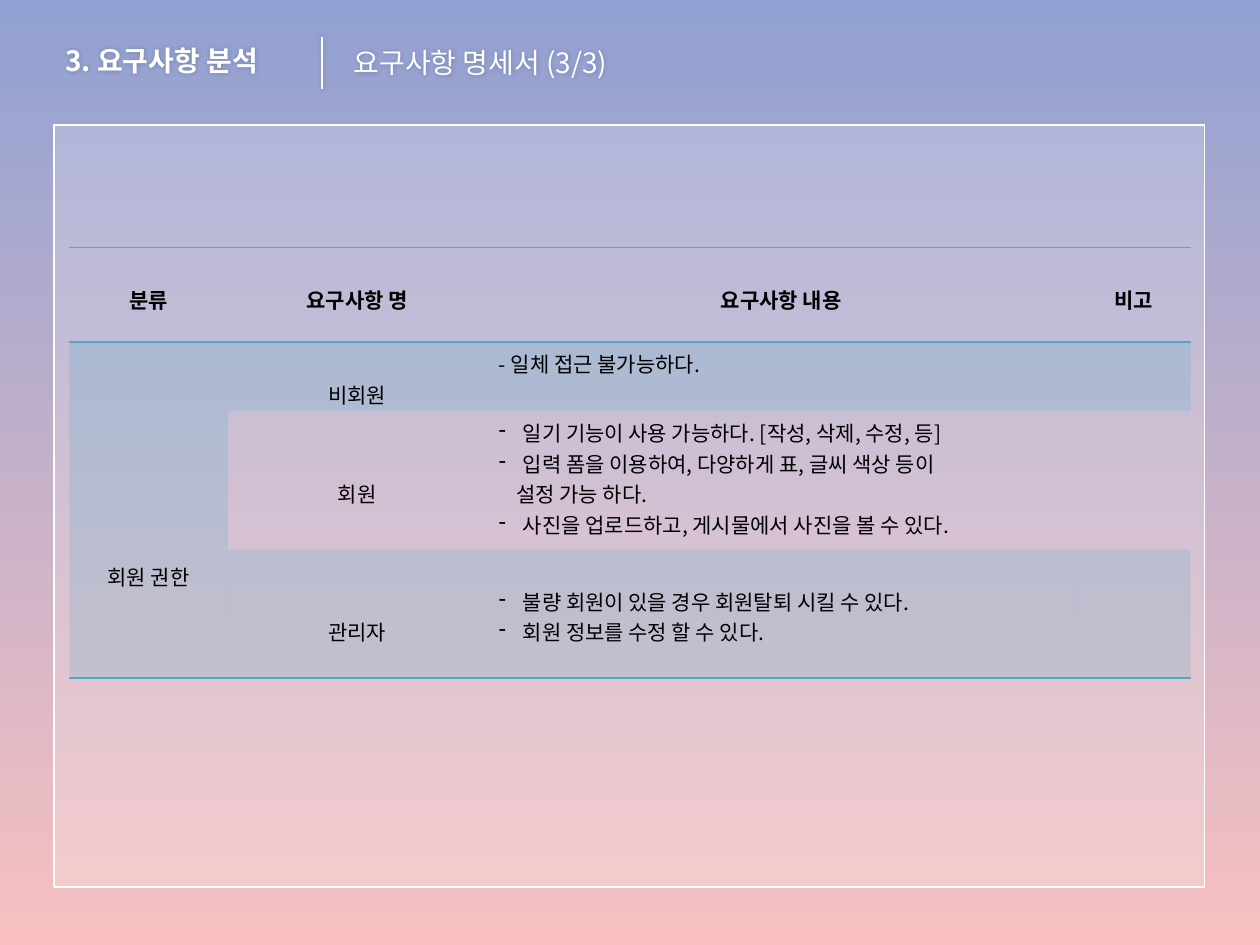
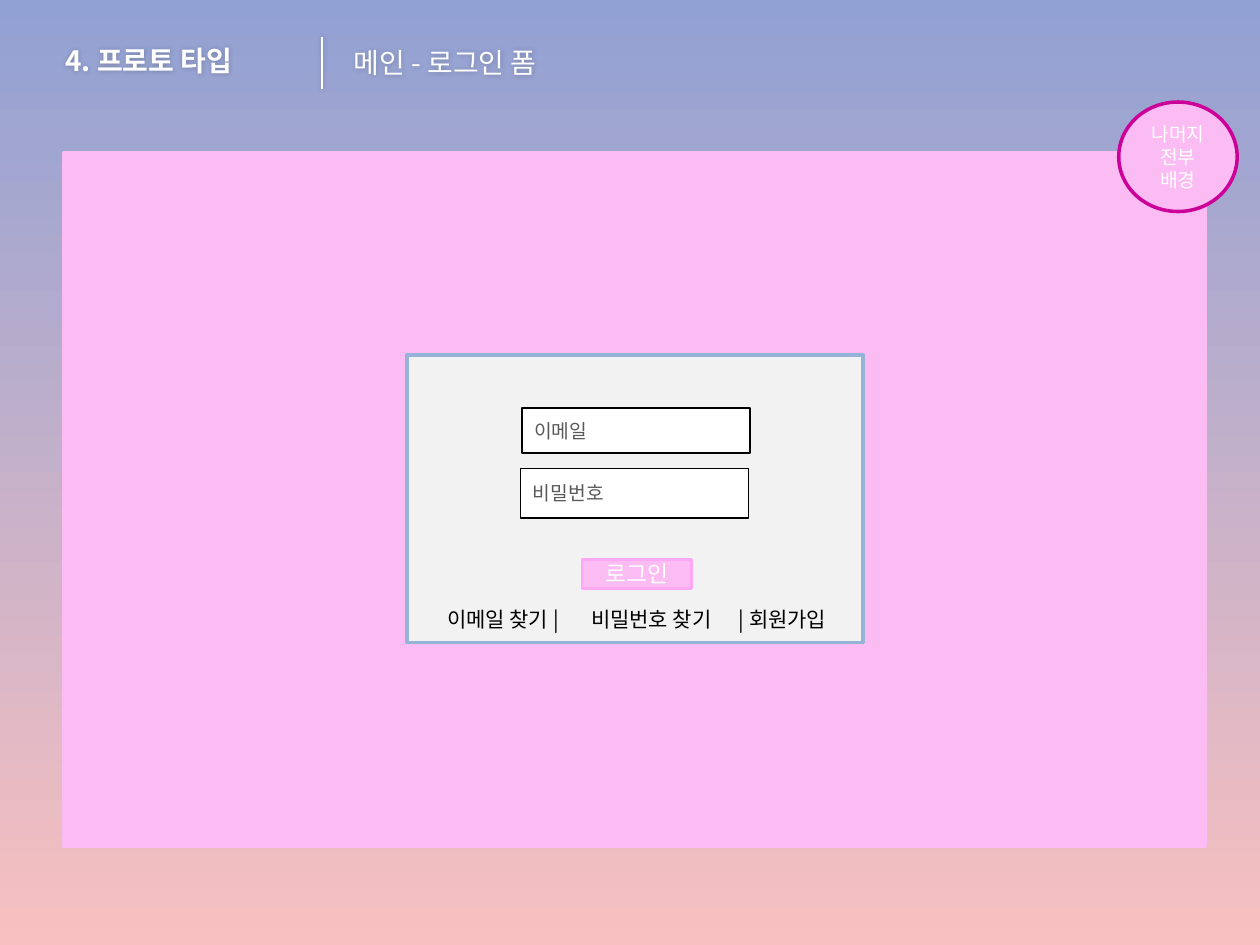
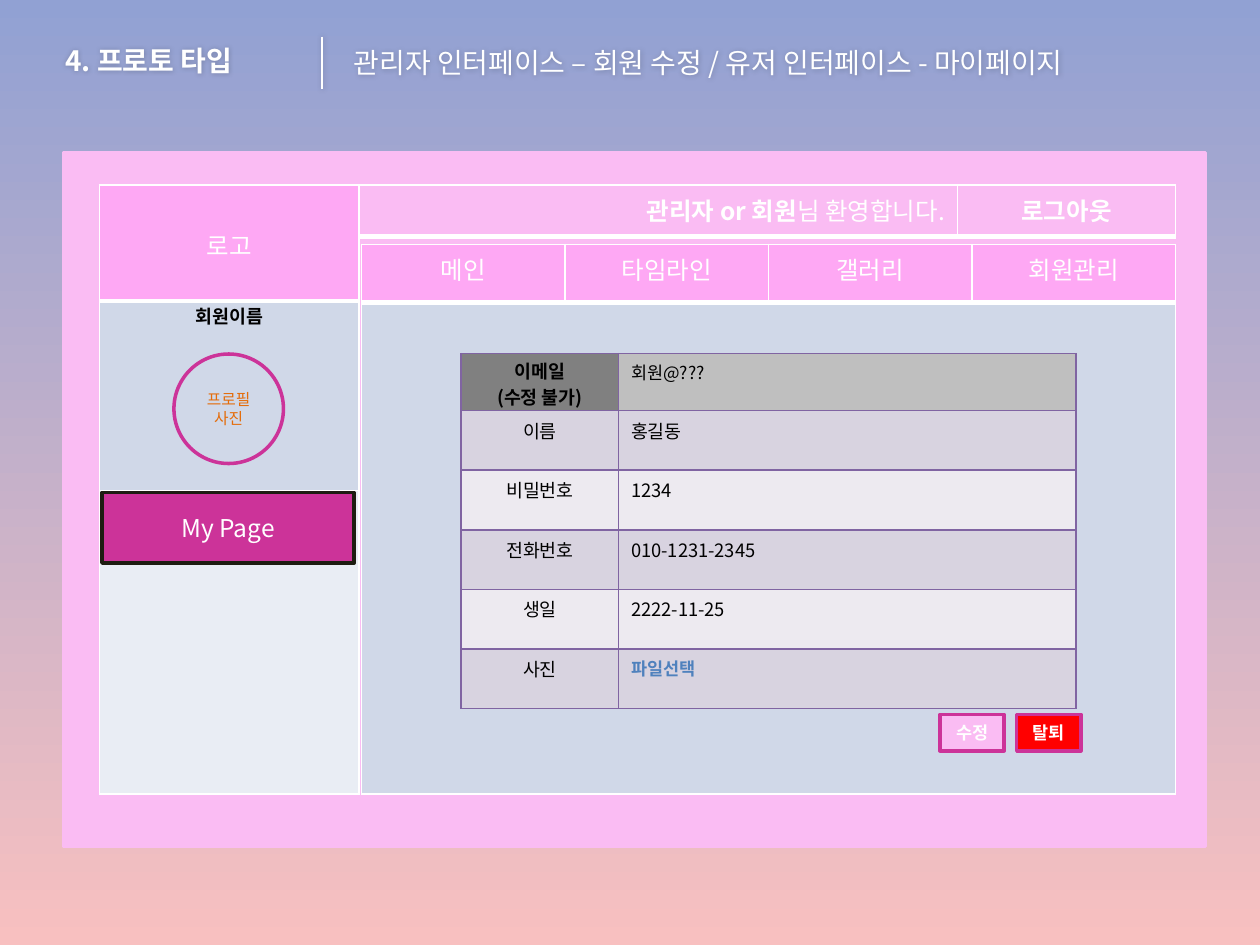
from dataclasses import dataclass

from lxml.etree import SubElement
from pptx import Presentation
from pptx.dml.color import RGBColor
from pptx.enum.shapes import MSO_CONNECTOR as Connector, MSO_SHAPE as Shape
from pptx.enum.text import MSO_ANCHOR as Anchor, MSO_AUTO_SIZE as AutoSize, PP_ALIGN as Align
from pptx.oxml import parse_xml
from pptx.oxml.ns import nsdecls, qn
from pptx.util import Pt


@dataclass(frozen=True)
class Theme:
    font: str = "Noto Sans CJK KR"
    name_font: str = "Arial"
    title_size: float = 16
    menu_size: float = 14
    button_size: float = 13
    body_size: float = 12
    field_size: float = 11
    label_size: float = 10.5
    value_size: float = 10
    photo_size: float = 9
    sky: str = "91A1D3"
    blush: str = "F8C0C0"
    white: str = "FFFFFF"
    black: str = "000000"
    teal: str = "4BACC6"
    pink: str = "FABCF3"
    hot_pink: str = "FEA8F4"
    magenta: str = "CC3399"
    badge_line: str = "CC0099"
    form_fill: str = "F2F2F2"
    form_line: str = "95B3D7"
    hint: str = "595959"
    side: str = "D0D8E8"
    side_light: str = "E9EDF4"
    selected_line: str = "1E1C11"
    photo: str = "E46C0A"
    grid: str = "8064A2"
    locked_label: str = "808080"
    locked_value: str = "BFBFBF"
    band: str = "D8D3E0"
    band_light: str = "EDEAF0"
    link: str = "4F81BD"
    red: str = "FF0000"


THEME = Theme()
PLAIN_TABLE = "{2D5ABB26-0587-4C30-8999-92F81FD0307C}"
LINE_HEIGHT = 17.4
CELL_INSET = 3.6


@dataclass(frozen=True)
class Box:
    left: float
    top: float
    width: float
    height: float

    def inner(self, left, top, width, height):
        """A box whose position is measured from this box's corner."""
        return Box(self.left + left, self.top + top, width, height)

    def lengths(self):
        return Pt(self.left), Pt(self.top), Pt(self.width), Pt(self.height)


HEADER = Box(30.2, 21, 677, 32)
REQUIREMENTS = Box(31, 71.3, 657.4, 435.6)
SCREEN = Box(36.7, 87.1, 652.3, 396.7)


def rgb(color):
    return RGBColor.from_string(color)


def set_alpha(parent, percent):
    color = parent.find(".//" + qn("a:srgbClr"))
    SubElement(color, qn("a:alpha")).set("val", str(percent * 1000))


def add_soft_shadow(properties):
    properties.append(parse_xml(
        f'<a:effectLst {nsdecls("a")}><a:outerShdw blurRad="{Pt(3)}" dist="0" dir="0">'
        f'<a:srgbClr val="{THEME.black}"><a:alpha val="20000"/></a:srgbClr>'
        '</a:outerShdw></a:effectLst>'))


def write(frame, text, size=THEME.body_size, font=THEME.font, color=THEME.black, bold=False,
          align=Align.LEFT, indent=0, bullet=None, same_paragraph=False):
    """Add each line of text as a paragraph, or continue the last paragraph."""
    for line in text.split("\n"):
        if same_paragraph or not frame.text:
            paragraph = frame.paragraphs[-1]
        else:
            paragraph = frame.add_paragraph()
        paragraph.alignment = align
        if indent:
            properties = paragraph._p.get_or_add_pPr()
            properties.set("marL", str(Pt(indent)))
            properties.set("indent", str(-Pt(indent) if bullet else 0))
            if bullet:
                SubElement(properties, qn("a:buChar")).set("char", bullet)
        run = paragraph.add_run()
        run.text = line
        run.font.size = Pt(size)
        run.font.bold = bold
        run.font.color.rgb = rgb(color)
        run.font.name = font
        SubElement(run._r.get_or_add_rPr(), qn("a:ea")).set("typeface", font)


def add_box(shapes, box, fill, line, width, kind=Shape.RECTANGLE, alpha=None, text=None,
            align=Align.CENTER, **text_format):
    shape = shapes.add_shape(kind, *box.lengths())
    shape.shadow.inherit = False
    if fill:
        shape.fill.solid()
        shape.fill.fore_color.rgb = rgb(fill)
    else:
        shape.fill.background()
    if alpha:
        set_alpha(shape._element.spPr, alpha)
    shape.line.color.rgb = rgb(line)
    shape.line.width = Pt(width)
    if text:
        shape.text_frame.word_wrap = True
        shape.text_frame.vertical_anchor = Anchor.MIDDLE
        write(shape.text_frame, text, align=align, **text_format)


def add_label(shapes, box, text, **text_format):
    label = shapes.add_textbox(*box.lengths())
    label.text_frame.word_wrap = True
    write(label.text_frame, text, **text_format)
    return label


def add_grid(shapes, box, columns, rows):
    table = shapes.add_table(len(rows), len(columns), *box.lengths()).table
    table.first_row = table.horz_banding = False
    table._tbl.tblPr.find(qn("a:tableStyleId")).text = PLAIN_TABLE
    for column, width in zip(table.columns, columns):
        column.width = Pt(width)
    for row, height in zip(table.rows, rows):
        row.height = Pt(height)
    return table


def format_cell(cell, fill=None, alpha=None, color=THEME.white, **borders):
    """Fill a cell and draw its borders, given as side=width with sides L, R, T and B."""
    if fill:
        cell.fill.solid()
        cell.fill.fore_color.rgb = rgb(fill)
    else:
        cell.fill.background()
    properties = cell._tc.get_or_add_tcPr()
    if alpha:
        set_alpha(properties, alpha)
    sides = [side for side in "LRTB" if side in borders]
    for position, side in enumerate(sides):
        properties.insert(position, parse_xml(
            f'<a:ln{side} {nsdecls("a")} w="{Pt(borders[side])}"><a:solidFill>'
            f'<a:srgbClr val="{color}"/></a:solidFill></a:ln{side}>'))


def lower_text(cell, lines):
    cell.margin_top = Pt(CELL_INSET + lines * LINE_HEIGHT)


def add_header(slide, box, section, topic):
    title = slide.shapes.title
    title.left, title.top, title.width, title.height = box.inner(0, 0, 165, 30.4).lengths()
    title.fill.background()
    frame = title.text_frame
    frame.word_wrap = True
    frame.auto_size = AutoSize.NONE
    frame.vertical_anchor = Anchor.TOP
    write(frame, section, size=THEME.title_size, color=THEME.white, bold=True)
    subtitle = add_label(slide.shapes, box.inner(165, 1.4, 512, 30.4), topic,
                         size=THEME.title_size, color=THEME.white)
    x = Pt(box.left + 154)
    divider = slide.shapes.add_connector(Connector.STRAIGHT, x, Pt(box.top), x, Pt(box.top + 30))
    divider.line.color.rgb = rgb(THEME.white)
    divider.line.width = Pt(1)
    for shape in (title, subtitle, divider):
        add_soft_shadow(shape._element.spPr)


def add_requirements(shapes, box):
    add_box(shapes, box, THEME.white, THEME.white, 0.9, alpha=20)
    table = add_grid(shapes, box.inner(8.6, 70.2, 640.8, 246),
                     [90.7, 147.6, 337, 65.5], [54, 39.5, 79, 73.5])
    for column, heading in enumerate(["분류", "요구사항 명", "요구사항 내용", "비고"]):
        cell = table.cell(0, column)
        lower_text(cell, 1)
        write(cell.text_frame, heading, bold=True, align=Align.CENTER)
        format_cell(cell, color=THEME.teal, T=1, B=1)

    category = table.cell(1, 0)
    category.merge(table.cell(3, 0))
    lower_text(category, 7)
    write(category.text_frame, "회원 권한", align=Align.CENTER)
    for row, (role, lines) in enumerate([("비회원", 1), ("회원", 2), ("관리자", 2)], 1):
        lower_text(table.cell(row, 1), lines)
        write(table.cell(row, 1).text_frame, role, align=Align.CENTER)
        for column in range(4):
            cell = table.cell(row, column)
            shaded = row != 2 or column == 0
            ends = row == 3 or cell.is_merge_origin
            format_cell(cell, THEME.teal if shaded else None, 20 if shaded else None,
                        THEME.teal, **({"B": 1} if ends else {}))

    guest, member, manager = (table.cell(row, 2) for row in (1, 2, 3))
    item = dict(align=Align.JUSTIFY, indent=13.7, bullet="-")
    write(guest.text_frame, "- 일체 접근 불가능하다.", align=Align.JUSTIFY)
    write(member.text_frame, "일기 기능이 사용 가능하다. [작성, 삭제, 수정, 등]\n"
          "입력 폼을 이용하여, 다양하게 표, 글씨 색상 등이", **item)
    write(member.text_frame, "설정 가능 하다.", align=Align.JUSTIFY, indent=10)
    write(member.text_frame, "사진을 업로드하고, 게시물에서 사진을 볼 수 있다.", **item)
    lower_text(manager, 1)
    write(manager.text_frame, "불량 회원이 있을 경우 회원탈퇴 시킬 수 있다.\n"
          "회원 정보를 수정 할 수 있다.", **item)


def add_screen(shapes, box):
    add_box(shapes, box, THEME.pink, THEME.pink, 2)


def add_badge(shapes, box):
    add_box(shapes, box, THEME.pink, THEME.badge_line, 2, Shape.OVAL,
            text="나머지\n전부 배경", size=THEME.field_size, color=THEME.white)


def add_login_form(shapes, box):
    members = shapes.add_group_shape().shapes
    add_box(members, box, THEME.form_fill, THEME.form_line, 2)
    for text, left, width in [("이메일 찾기 |", 9.4, 90.7), ("비밀번호 찾기", 91.4, 96.5),
                              ("| 회원가입", 175, 79.2)]:
        add_label(members, box.inner(left, 140, width, 24.6), text, align=Align.CENTER)
    for text, left, top, height in [("이메일", 65.5, 30.2, 25.9), ("비밀번호", 64.8, 64.8, 28.1)]:
        add_box(members, box.inner(left, top, 130.3, height), THEME.white, THEME.black, 1,
                text=text, align=Align.LEFT, size=THEME.field_size, color=THEME.hint)
    add_box(members, box.inner(100.1, 116.6, 62.6, 16.6), THEME.pink, THEME.hot_pink, 1.5,
            text="로그인", size=THEME.button_size, color=THEME.white)


def add_welcome_bar(shapes, box):
    table = add_grid(shapes, box, [490.3, 124.6], [29.5])
    welcome, logout = table.cell(0, 0), table.cell(0, 1)
    menu = dict(size=THEME.menu_size, color=THEME.white)
    write(welcome.text_frame, "관리자 or 회원", bold=True, align=Align.RIGHT, **menu)
    write(welcome.text_frame, "님 환영합니다.", align=Align.RIGHT, same_paragraph=True, **menu)
    write(logout.text_frame, "로그아웃", bold=True, align=Align.CENTER, **menu)
    for cell in (welcome, logout):
        format_cell(cell, L=1, R=1, T=1, B=3)


def add_sidebar(shapes, box):
    table = add_grid(shapes, box, [box.width], [66.2, 108.4, 173.4])
    logo, profile, rest = (table.cell(row, 0) for row in range(3))
    lower_text(logo, 1.17)
    write(logo.text_frame, "로고", size=THEME.menu_size, color=THEME.white, align=Align.CENTER)
    write(profile.text_frame, "회원이름", size=THEME.label_size, font=THEME.name_font,
          bold=True, align=Align.CENTER)
    format_cell(logo, THEME.hot_pink, L=1, R=1, T=1, B=3)
    format_cell(profile, THEME.side, L=1, R=1, T=3, B=1)
    format_cell(rest, THEME.side_light, L=1, R=1, T=1, B=1)
    add_box(shapes, box.inner(42.5, 96.5, 62.6, 62.6), None, THEME.magenta, 2, Shape.OVAL,
            text="프로필 사진", size=THEME.photo_size, color=THEME.photo)
    add_box(shapes, box.inner(1.4, 175.7, 144, 40.3), THEME.magenta, THEME.selected_line, 2,
            text="My Page", size=THEME.menu_size, color=THEME.white)


def add_content(shapes, box):
    menus = ["메인", "타임라인", "갤러리", "회원관리"]
    table = add_grid(shapes, box, [box.width / len(menus)] * len(menus), [33.1, 281])
    table.cell(1, 0).merge(table.cell(1, 3))
    for column, menu in enumerate(menus):
        cell = table.cell(0, column)
        write(cell.text_frame, menu, size=THEME.menu_size, color=THEME.white, align=Align.CENTER)
        format_cell(cell, THEME.hot_pink, L=1, R=1, T=1, B=3)
        format_cell(table.cell(1, column), THEME.side, L=1, R=1, T=3, B=1)


def add_profile_form(shapes, box):
    fields = [("이메일\n(수정 불가)", "회원@???"), ("이름", "홍길동"), ("비밀번호", "1234"),
              ("전화번호", "010-1231-2345"), ("생일", "2222-11-25"), ("사진", "파일선택")]
    table = add_grid(shapes, box, [90, 261.4], [32.6] + [34.1] * 5)
    for row, (name, value) in enumerate(fields):
        locked, is_link = row == 0, row == len(fields) - 1
        label, entry = table.cell(row, 0), table.cell(row, 1)
        band = THEME.band if row % 2 else THEME.band_light
        if locked:
            label.margin_top, label.margin_bottom = Pt(2), Pt(0)
        write(label.text_frame, name, size=THEME.label_size, bold=locked, align=Align.CENTER)
        write(entry.text_frame, value, bold=is_link,
              size=THEME.value_size if locked or is_link else THEME.label_size,
              color=THEME.link if is_link else THEME.black)
        for cell, locked_fill in ((label, THEME.locked_label), (entry, THEME.locked_value)):
            format_cell(cell, locked_fill if locked else band, color=THEME.grid,
                        L=1, R=1, T=1, B=1)


def add_form_buttons(shapes, box):
    for column, (text, fill) in enumerate([("수정", THEME.pink), ("탈퇴", THEME.red)]):
        add_box(shapes, box.inner(column * 43.9, 0, 36.7, box.height), fill, THEME.magenta, 2,
                text=text, size=THEME.value_size, color=THEME.white, bold=True)


def add_my_page(shapes, box):
    add_welcome_bar(shapes, box.inner(0, 0, box.width, 29.5))
    add_sidebar(shapes, box.inner(0, 0, 148.3, box.height))
    add_content(shapes, box.inner(149.7, 33.9, 465.2, 314.1))
    add_profile_form(shapes, box.inner(206.6, 96.2, 351.4, 203.1))
    add_form_buttons(shapes, box.inner(480.2, 302.4, 80.6, 20.9))


def set_background(master):
    fill = master.background.fill
    fill.gradient()
    fill.gradient_angle = 270
    for stop, color in zip(fill.gradient_stops, (THEME.sky, THEME.blush)):
        stop.color.rgb = rgb(color)
    set_alpha(master.element.find(".//" + qn("p:bg")), 80)


def add_slide(presentation, section, topic):
    slide = presentation.slides.add_slide(presentation.slide_layouts[5])
    add_header(slide, HEADER, section, topic)
    return slide.shapes


def main():
    presentation = Presentation()
    presentation.slide_width, presentation.slide_height = Pt(720), Pt(540)
    set_background(presentation.slide_master)

    shapes = add_slide(presentation, "3. 요구사항 분석", "요구사항 명세서 (3/3)")
    add_requirements(shapes, REQUIREMENTS)

    prototype = "4. 프로토 타입"
    shapes = add_slide(presentation, prototype, "메인 - 로그인 폼")
    add_screen(shapes, SCREEN)
    add_badge(shapes, SCREEN.inner(602.6, -28.8, 67.7, 62.6))
    add_login_form(shapes, SCREEN.inner(195.9, 115.9, 260.6, 164.2))

    shapes = add_slide(presentation, prototype,
                       "관리자 인터페이스 – 회원 수정 / 유저 인터페이스 - 마이페이지")
    add_screen(shapes, SCREEN)
    add_my_page(shapes, SCREEN.inner(20.2, 18.7, 614.9, 348))

    presentation.save("out.pptx")


if __name__ == "__main__":
    main()
